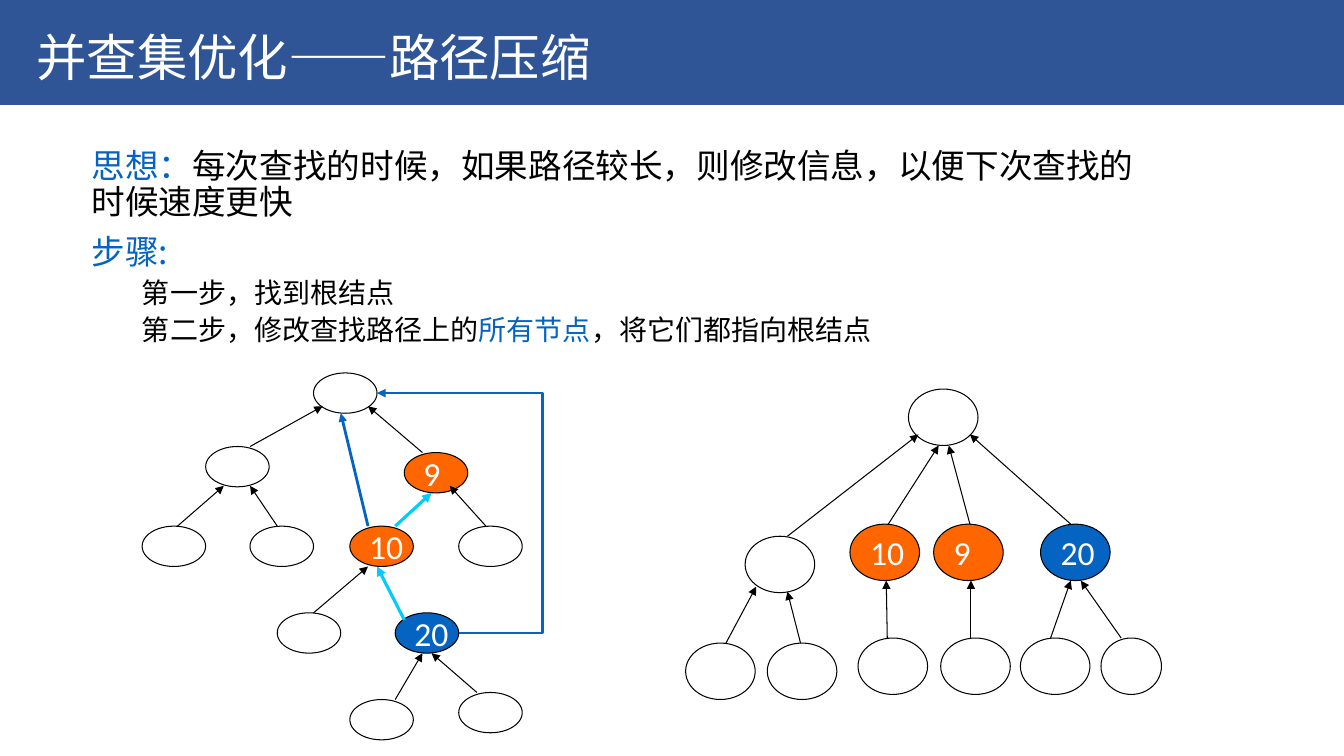
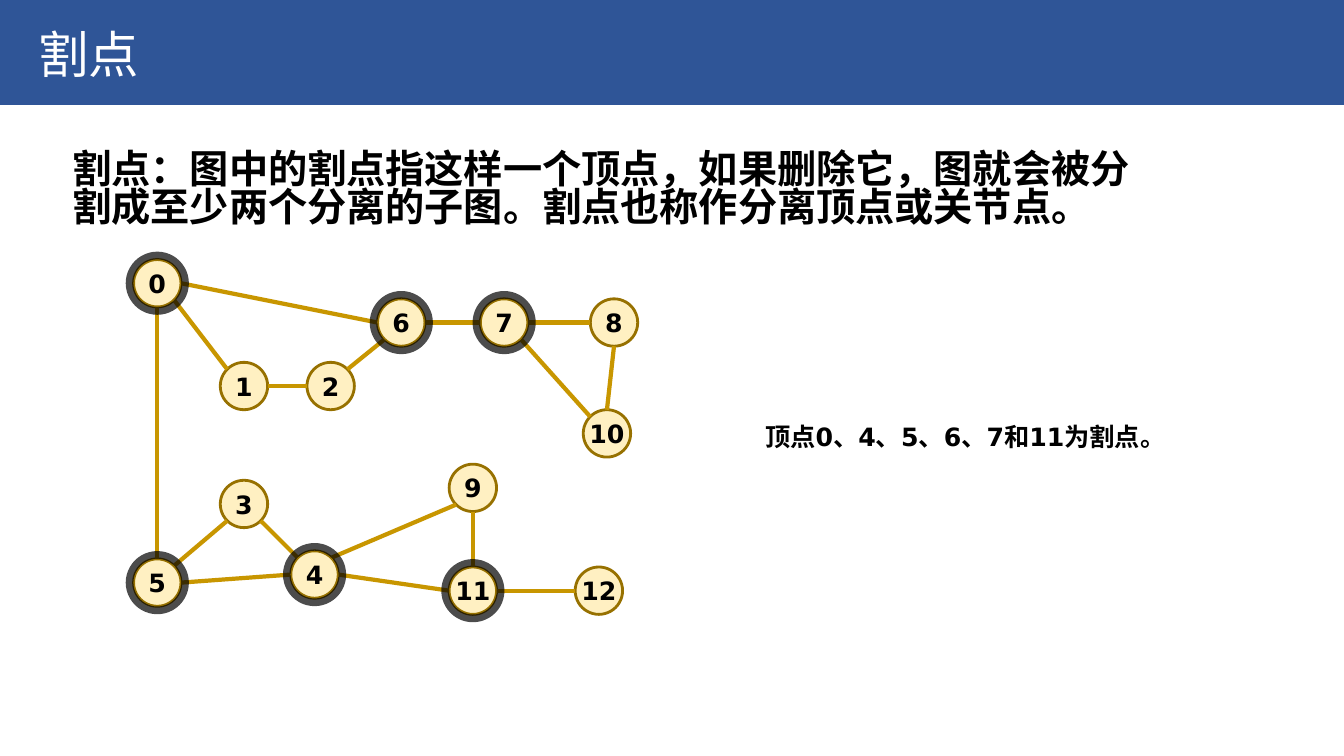
from dataclasses import dataclass
from math import sqrt

from lxml import etree
from pptx import Presentation
from pptx.dml.color import RGBColor
from pptx.enum.shapes import MSO_CONNECTOR, MSO_SHAPE
from pptx.enum.text import MSO_ANCHOR, MSO_AUTO_SIZE, PP_ALIGN
from pptx.oxml.ns import qn
from pptx.util import Inches, Pt

RECT, OVAL = MSO_SHAPE.RECTANGLE, MSO_SHAPE.OVAL
STRAIGHT, ELBOW = MSO_CONNECTOR.STRAIGHT, MSO_CONNECTOR.ELBOW
TOP, MIDDLE, BOTTOM = MSO_ANCHOR.TOP, MSO_ANCHOR.MIDDLE, MSO_ANCHOR.BOTTOM
LEFT, CENTER = PP_ALIGN.LEFT, PP_ALIGN.CENTER
FIXED = MSO_AUTO_SIZE.NONE
TITLE_ONLY = 5
WIDTH, HEIGHT = 13.33, 7.5

DIAGONAL = 1 / sqrt(2)
COMPASS = {
    "N": (0, -1), "S": (0, 1), "W": (-1, 0), "E": (1, 0),
    "NW": (-DIAGONAL, -DIAGONAL), "NE": (DIAGONAL, -DIAGONAL),
    "SW": (-DIAGONAL, DIAGONAL), "SE": (DIAGONAL, DIAGONAL),
}


@dataclass(frozen=True)
class Theme:
    # Fonts are pairs: Latin, East Asian
    sans: tuple = ("Noto Sans CJK SC", "Noto Sans CJK SC")
    heavy: tuple = ("Noto Sans CJK JP", "Noto Sans CJK JP")
    digits: tuple = ("Calibri", "Noto Sans CJK SC")
    labels: tuple = ("DejaVu Sans", "Noto Sans CJK SC")
    band: str = "2F5597"
    white: str = "FFFFFF"
    black: str = "000000"
    blue: str = "0563C1"
    orange: str = "FF6600"
    cyan: str = "00CCFF"
    cream: str = "FFF0C2"
    rim: str = "977100"
    edge: str = "C89600"
    title: float = 36
    lead: float = 28
    body: float = 24
    step: float = 20
    label: float = 18


THEME = Theme()


def rgb(value):
    return RGBColor.from_string(value)


def inches(*lengths):
    return [Inches(length) for length in lengths]


class Deck:
    def __init__(self, theme):
        self.theme = theme
        self.file = Presentation()
        self.file.slide_width, self.file.slide_height = inches(WIDTH, HEIGHT)
        self.slide = None

    def start(self, title, left, top):
        """Add a slide with the title band; left and top place the title."""
        t = self.theme
        self.slide = self.file.slides.add_slide(self.file.slide_layouts[TITLE_ONLY])
        band = self.shape(RECT, 0, 0, WIDTH, 1.04, fill=t.band)
        self.slide.shapes._spTree.insert(2, band._element)
        heading = self.slide.shapes.title
        heading.left, heading.top, heading.width, heading.height = inches(
            left, top, WIDTH - left, 0.71)
        frame = heading.text_frame
        frame.auto_size, frame.vertical_anchor = FIXED, TOP
        paragraph = frame.paragraphs[0]
        paragraph.alignment = LEFT
        self.run(paragraph, title, t.sans, t.title, t.white)

    def run(self, paragraph, text, fonts, size, color, bold=False):
        run = paragraph.add_run()
        run.text = text
        latin, east_asian = fonts
        font = run.font
        font.name, font.size, font.bold = latin, Pt(size), bold
        font.color.rgb = rgb(color)
        etree.SubElement(font._element, qn("a:ea"), typeface=east_asian)

    def textbox(self, left, top, width, height, anchor=TOP):
        box = self.slide.shapes.add_textbox(*inches(left, top, width, height))
        frame = box.text_frame
        frame.word_wrap, frame.vertical_anchor = True, anchor
        return frame

    def shape(self, kind, left, top, width, height, fill=None, line=None, weight=0.75):
        shape = self.slide.shapes.add_shape(kind, *inches(left, top, width, height))
        shape.shadow.inherit = False
        if fill:
            shape.fill.solid()
            shape.fill.fore_color.rgb = rgb(fill)
        else:
            shape.fill.background()
        if line:
            shape.line.color.rgb = rgb(line)
            shape.line.width = Pt(weight)
        else:
            shape.line.fill.background()
        return shape

    def tree_node(self, left, top, width, height, label="", fill=THEME.white):
        t = self.theme
        node = self.shape(OVAL, left, top, width, height, fill, t.black)
        if label:
            frame = node.text_frame
            frame.word_wrap, frame.vertical_anchor = False, MIDDLE
            paragraph = frame.paragraphs[0]
            paragraph.alignment = LEFT
            self.run(paragraph, label, t.digits, t.body, t.white)

    def graph_node(self, x, y, radius, label):
        """Draw a labelled circle centred on x, y."""
        t = self.theme
        node = self.shape(OVAL, x - radius, y - radius, 2 * radius, 2 * radius,
                          t.cream, t.rim, 2)
        frame = node.text_frame
        frame.margin_left = frame.margin_right = 0
        frame.margin_top = frame.margin_bottom = 0
        frame.word_wrap, frame.vertical_anchor = False, MIDDLE
        paragraph = frame.paragraphs[0]
        paragraph.alignment = CENTER
        self.run(paragraph, label, t.labels, t.label, t.black, bold=True)

    def ring(self, x, y, radius):
        """Mark a cut vertex with a translucent ring."""
        ring = self.shape(OVAL, x - radius, y - radius, 2 * radius, 2 * radius,
                          line=self.theme.black, weight=5.5)
        color = ring.line._get_or_add_ln().find(".//" + qn("a:srgbClr"))
        etree.SubElement(color, qn("a:alpha"), val="69000")

    def line(self, start, end, color, weight, arrow=False, kind=STRAIGHT):
        line = self.slide.shapes.add_connector(kind, *inches(*start, *end))
        line.line.color.rgb = rgb(color)
        line.line.width = Pt(weight)
        if arrow:
            etree.SubElement(line.line._get_or_add_ln(), qn("a:tailEnd"), type="triangle")
        etree.SubElement(line._element.spPr, qn("a:effectLst"))
        return line

    def elbow_arrow(self, start, end, bend_x, color, weight):
        """Draw an arrow whose upright part stands at bend_x."""
        line = self.line(start, end, color, weight, arrow=True, kind=ELBOW)
        bend = round((bend_x - start[0]) / (end[0] - start[0]) * 100000)
        geometry = line._element.spPr.find(qn("a:prstGeom"))
        guides = geometry.find(qn("a:avLst"))
        if guides is None:
            guides = etree.SubElement(geometry, qn("a:avLst"))
        etree.SubElement(guides, qn("a:gd"), name="adj1", fmla=f"val {bend}")


def path_compression(deck):
    t = deck.theme
    deck.start("并查集优化——路径压缩", 0.26, 0.21)

    idea = [("思想：", t.blue), ("每次查找的时候，如果路径较长，则修改信息，以便下次查找的时候速度更快", t.black)]
    steps = [("步骤:", t.blue)]
    find_root = [("第一步，找到根结点", t.black)]
    relink = [("第二步，修改查找路径上的", t.black), ("所有节点", t.blue), ("，将它们都指向根结点", t.black)]
    frame = deck.textbox(0.81, 1.43, 10.79, 2.1)
    outline = [(idea, 0), (steps, 0), (find_root, 1), (relink, 1)]
    for index, (runs, level) in enumerate(outline):
        paragraph = frame.add_paragraph() if index else frame.paragraphs[0]
        paragraph.line_spacing = 0.9
        paragraph.space_before = Pt(5 if level else 10)
        if level:
            paragraph.level = level
            paragraph._p.get_or_add_pPr().set("marL", str(Inches(0.5)))
        for text, color in runs:
            deck.run(paragraph, text, t.sans, t.step if level else t.body, color)

    before_nodes = [
        (3.11, 3.7), (2.04, 4.43), (4.01, 4.49, "9", t.orange),
        (1.41, 5.22), (2.48, 5.22), (3.47, 5.22, "10", t.orange), (4.55, 5.22),
        (2.75, 6.08), (3.92, 6.08, "20", t.blue), (3.47, 6.94), (4.55, 6.87),
    ]
    after_nodes = [
        (9.01, 3.86), (7.39, 5.32), (8.43, 5.2, "10", t.orange),
        (9.26, 5.2, "9", t.orange), (10.32, 5.2, "20", t.blue),
        (6.8, 6.38), (7.61, 6.38), (8.51, 6.33), (9.33, 6.33), (10.12, 6.33),
    ]
    for nodes, size in ((before_nodes, (0.63, 0.4)), (after_nodes, (0.69, 0.56))):
        for left, top, *look in nodes:
            deck.tree_node(left, top, *size, *look)
    deck.tree_node(10.92, 6.33, 0.6, 0.56)

    parent_links = [
        ((4.19, 4.49), (3.65, 4.03)), ((2.48, 4.43), (3.2, 4.03)),
        ((1.76, 5.22), (2.22, 4.82)), ((2.75, 5.22), (2.48, 4.82)),
        ((4.82, 5.22), (4.46, 4.82)), ((3.11, 6.08), (3.65, 5.62)),
        ((3.92, 6.94), (4.19, 6.48)), ((4.73, 6.87), (4.28, 6.48)),
        ((7.81, 5.32), (9.11, 4.31)), ((8.81, 5.2), (9.31, 4.42)),
        ((9.62, 5.2), (9.41, 4.42)), ((10.62, 5.2), (9.62, 4.31)),
        ((7.2, 6.38), (7.5, 5.82)), ((7.94, 6.38), (7.81, 5.87)),
        ((8.8, 6.33), (8.79, 5.76)), ((9.63, 6.33), (9.63, 5.76)),
        ((10.42, 6.33), (10.62, 5.76)), ((11.12, 6.33), (10.72, 5.76)),
    ]
    search_path = [((4.01, 6.15), (3.74, 5.62)), ((3.92, 5.22), (4.28, 4.89))]
    new_links = [((3.65, 5.22), (3.38, 4.1))]
    for links, color, weight in ((parent_links, t.black, 0.75),
                                 (search_path, t.cyan, 2.25),
                                 (new_links, t.blue, 2)):
        for child, parent in links:
            deck.line(child, parent, color, weight, arrow=True)
    deck.elbow_arrow((4.55, 6.28), (3.74, 3.9), 5.38, t.blue, 2)


def cut_vertices(deck):
    t = deck.theme
    deck.start("割点", 0.28, 0.18)

    definition = deck.textbox(0.62, 1.17, 10.84, 1.15, BOTTOM).paragraphs[0]
    definition.line_spacing = 0.8
    deck.run(definition, "割点：图中的割点指这样一个顶点，如果删除它，图就会被分割成至少两个分离的子图。割点也称作分离顶点或关节点。",
             t.heavy, t.lead, t.black, bold=True)

    radius = 0.235
    centers = [
        (1.56, 2.81), (2.42, 3.83), (3.28, 3.83), (2.42, 5), (3.12, 5.7),
        (1.56, 5.78), (3.98, 3.2), (5, 3.2), (6.09, 3.2), (4.69, 4.84),
        (6.02, 4.3), (4.69, 5.86), (5.94, 5.86),
    ]
    edges = [
        (0, "S", 5, "N"), (0, "SE", 1, "NW"), (0, "E", 6, "W"), (1, "E", 2, "W"),
        (2, "NE", 6, "SW"), (6, "E", 7, "W"), (7, "E", 8, "W"), (7, "SE", 10, "NW"),
        (8, "S", 10, "N"), (5, "NE", 3, "SW"), (3, "SE", 4, "NW"), (5, "E", 4, "W"),
        (4, "NE", 9, "SW"), (9, "S", 11, "N"), (4, "E", 11, "W"), (11, "E", 12, "W"),
    ]

    def rim_point(vertex, side):
        x, y = centers[vertex]
        dx, dy = COMPASS[side]
        return x + radius * dx, y + radius * dy

    for vertex, (x, y) in enumerate(centers):
        deck.graph_node(x, y, radius, str(vertex))
    for first, first_side, second, second_side in edges:
        deck.line(rim_point(first, first_side), rim_point(second, second_side), t.edge, 3)
    for vertex in (0, 4, 5, 6, 7, 11):
        deck.ring(*centers[vertex], 0.275)

    answer = deck.textbox(7.49, 4.13, 5.39, 0.4).paragraphs[0]
    deck.run(answer, "顶点0、4、5、6、7和11为割点。", t.labels, t.label, t.black, bold=True)


def main():
    deck = Deck(THEME)
    path_compression(deck)
    cut_vertices(deck)
    deck.file.save("out.pptx")


if __name__ == "__main__":
    main()
